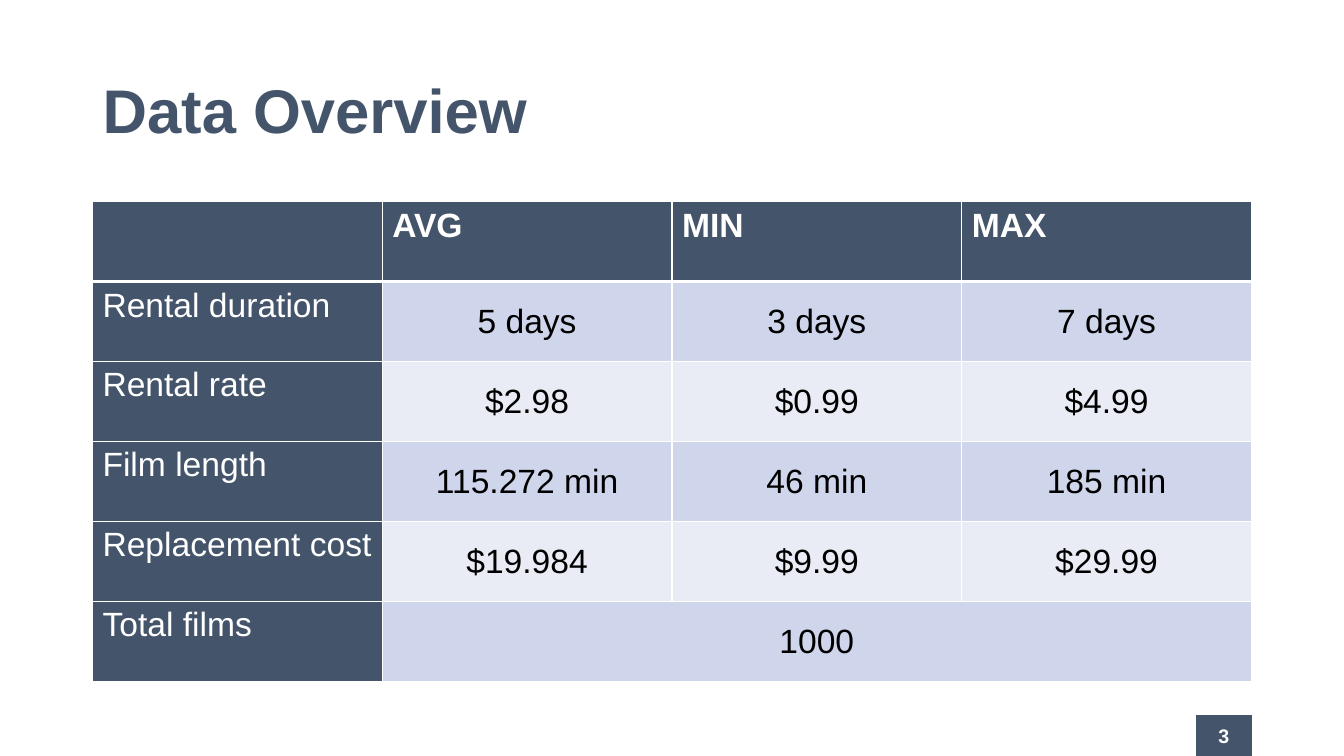
from lxml.etree import SubElement
from pptx import Presentation
from pptx.dml.color import RGBColor as RGB
from pptx.enum.shapes import MSO_SHAPE as SHAPE
from pptx.enum.text import MSO_ANCHOR as ANCHOR, PP_ALIGN as ALIGN
from pptx.oxml.ns import qn
from pptx.util import Cm, Pt

COLORS = {
    "slate": "44546A",
    "band_dark": "CFD5EA",
    "band_light": "E9EBF5",
    "white": "FFFFFF",
    "black": "000000",
}
ROWS = [
    ["", "AVG", "MIN", "MAX"],
    ["Rental duration", "5 days", "3 days", "7 days"],
    ["Rental rate", "$2.98", "$0.99", "$4.99"],
    ["Film length", "115.272 min", "46 min", "185 min"],
    ["Replacement cost", "$19.984", "$9.99", "$29.99"],
    ["Total films", "1000", "", ""],
]
LEFT, WIDTH = Cm(2.33), Cm(29.21)


def format_text(tf, size, color, bold=False, align=ALIGN.LEFT):
    for p in tf.paragraphs:
        p.alignment = align
        for r in p.runs:
            r.font.name = "Arial"
            r.font.size = Pt(size)
            r.font.bold = bold
            r.font.color.rgb = RGB.from_string(COLORS[color])


def add_border(cell, side, width):
    ln = SubElement(cell._tc.get_or_add_tcPr(), qn(f"a:ln{side}"), w=str(Pt(width)))
    fill = SubElement(ln, qn("a:solidFill"))
    SubElement(fill, qn("a:srgbClr"), val=COLORS["white"])


prs = Presentation()
prs.slide_width, prs.slide_height = Cm(33.87), Cm(19.05)
s = prs.slides.add_slide(prs.slide_layouts[5])

title = s.shapes.title
title.left, title.top, title.width, title.height = LEFT, Cm(1.01), WIDTH, Cm(3.68)
tf = title.text_frame
tf.text = "Data Overview"
tf.vertical_anchor = ANCHOR.MIDDLE
tf.paragraphs[0].line_spacing = 0.9
format_text(tf, 44, "slate", bold=True)

frame = s.shapes.add_table(len(ROWS), len(ROWS[0]), LEFT, Cm(5.08), WIDTH, Cm(12.09))
table = frame.table
for i, values in enumerate(ROWS):
    for j, value in enumerate(values):
        cell = table.cell(i, j)
        is_header, is_label = i == 0, j == 0
        for side in "LRTB":
            under_header = (i, side) in [(0, "B"), (1, "T")]
            add_border(cell, side, 3 if under_header else 1)
        band = "band_dark" if i % 2 else "band_light"
        cell.fill.solid()
        cell.fill.fore_color.rgb = RGB.from_string(
            COLORS["slate" if is_header or is_label else band])
        cell.text_frame.text = value
        if is_header or is_label:
            cell.vertical_anchor = ANCHOR.TOP
            format_text(cell.text_frame, 24, "white", bold=is_header)
        else:
            cell.vertical_anchor = ANCHOR.MIDDLE
            format_text(cell.text_frame, 24, "black", align=ALIGN.CENTER)
table.cell(5, 1).merge(table.cell(5, 3))

number = s.shapes.add_shape(SHAPE.RECTANGLE, Cm(30.15), Cm(18.03), Cm(1.39), Cm(1.02))
number.shadow.inherit = False
number.fill.solid()
number.fill.fore_color.rgb = RGB.from_string(COLORS["slate"])
number.line.color.rgb = RGB.from_string(COLORS["slate"])
number.line.width = Pt(1)
tf = number.text_frame
tf.text = "3"
tf.vertical_anchor = ANCHOR.MIDDLE
format_text(tf, 14, "white", bold=True, align=ALIGN.CENTER)

prs.save("out.pptx")
